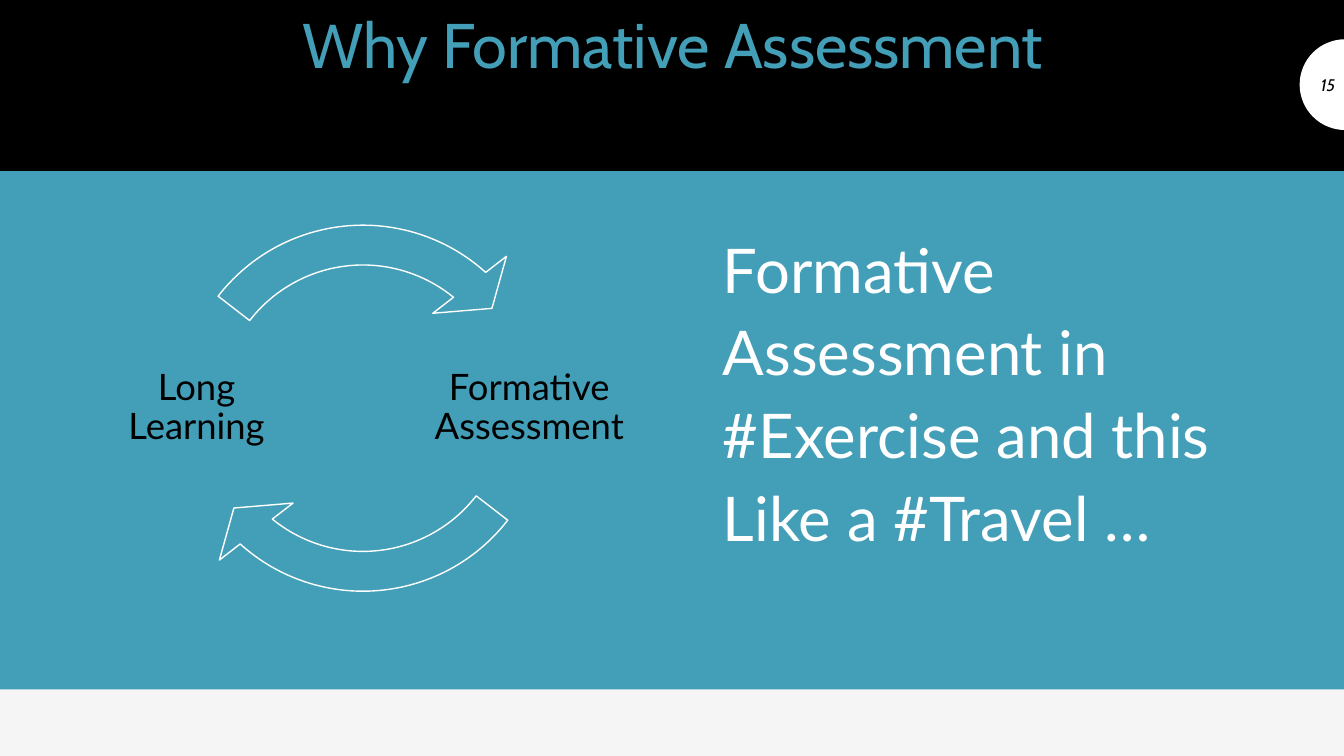
from math import cos, pi, sin

from pptx import Presentation
from pptx.dml.color import RGBColor
from pptx.enum.shapes import MSO_SHAPE
from pptx.enum.text import MSO_ANCHOR, MSO_AUTO_SIZE, PP_ALIGN
from pptx.oxml.ns import qn
from pptx.util import Inches, Pt

COLORS = {"page": "F5F5F5", "teal": "439EB7", "black": "000000", "white": "FFFFFF"}
SLIDE_WIDTH, SLIDE_HEIGHT = 13.33, 7.5


def rgb(name):
    return RGBColor.from_string(COLORS[name])


def paint(shape, fill, line=None):
    shape.shadow.inherit = False
    shape.fill.solid()
    shape.fill.fore_color.rgb = rgb(fill)
    if line:
        shape.line.color.rgb = rgb(line)
        shape.line.width = Pt(1)
    else:
        shape.line.fill.background()


def remove_bullet(paragraph):
    properties = paragraph._p.get_or_add_pPr()
    properties.set("marL", "0")
    properties.set("indent", "0")
    properties.append(properties.makeelement(qn("a:buNone"), {}))


def write(shape, text, font, size, color, align, spacing=1.0, inset=None):
    """Fill a text shape with one vertically centred paragraph."""
    frame = shape.text_frame
    frame.word_wrap = True
    frame.auto_size = MSO_AUTO_SIZE.NONE
    frame.vertical_anchor = MSO_ANCHOR.MIDDLE
    if inset is not None:
        frame.margin_left = frame.margin_right = Inches(inset)
        frame.margin_top = frame.margin_bottom = Inches(inset)
    frame.text = text
    paragraph = frame.paragraphs[0]
    remove_bullet(paragraph)
    paragraph.alignment = align
    paragraph.line_spacing = spacing
    paragraph.space_before = Pt(0)
    paragraph.font.name = font
    paragraph.font.size = Pt(size)
    paragraph.font.color.rgb = rgb(color)
    return paragraph


def place(placeholder, left, top, width, height):
    """Move a placeholder and bring it in front of the bands."""
    placeholder.left, placeholder.top = Inches(left), Inches(top)
    placeholder.width, placeholder.height = Inches(width), Inches(height)
    tree = placeholder._element.getparent()
    tree.append(placeholder._element)


def add_band(slide, top, height, fill, line=None):
    band = slide.shapes.add_shape(
        MSO_SHAPE.RECTANGLE, 0, Inches(top), Inches(SLIDE_WIDTH), Inches(height))
    paint(band, fill, line)


def add_page_badge(slide, number, left, top, radius):
    """Half disc on the right edge of the slide that holds the page number."""
    steps = 32
    angles = [pi / 2 + pi * step / steps for step in range(steps + 1)]
    outline = [(Inches(left + radius + radius * cos(a)),
                Inches(top + radius - radius * sin(a))) for a in angles]
    builder = slide.shapes.build_freeform(*outline[0])
    builder.add_line_segments(outline[1:], close=True)
    paint(builder.convert_to_shape(), "white")

    page = slide.shapes.add_textbox(
        Inches(left), Inches(top + radius - 0.2), Inches(radius), Inches(0.4))
    label = write(page, number, "Cabin", 12, "black", PP_ALIGN.RIGHT)
    label.font.italic = True


def add_cycle(slide, steps, left, top, size):
    """Two labels left and right of the centre, joined by two curved arrows."""
    label_size, label_offset = 2.02, 1.65
    center_x, center_y = left + size / 2, top + size / 2
    for index, (step, side) in enumerate(zip(steps, (1, -1))):
        label = slide.shapes.add_textbox(
            Inches(center_x + side * label_offset - label_size / 2),
            Inches(center_y - label_size / 2),
            Inches(label_size), Inches(label_size))
        write(label, step, "Lato", 26, "black", PP_ALIGN.CENTER, 0.9, 0.04)

        arrow = slide.shapes.add_shape(
            MSO_SHAPE.CIRCULAR_ARROW,
            Inches(left), Inches(top), Inches(size), Inches(size))
        paint(arrow, "teal", "white")
        half_turn = 108 * index
        settings = (0.095, 6.849, 78.51 + half_turn, 22.641 + half_turn, 0.111)
        for position, value in enumerate(settings):
            arrow.adjustments[position] = value


def add_statement(slide, text, left, top, width, height):
    body = slide.placeholders[1]
    place(body, left, top, width, height)
    write(body, text, "Lato", 44, "white", PP_ALIGN.LEFT, 1.12)


def add_title(slide, text, left, top, width, height):
    title = slide.shapes.title
    place(title, left, top, width, height)
    write(title, text, "Cabin", 45, "teal", PP_ALIGN.CENTER, 0.9)
    title.text_frame.margin_bottom = Inches(0.81)


def main():
    deck = Presentation()
    deck.slide_width, deck.slide_height = Inches(SLIDE_WIDTH), Inches(SLIDE_HEIGHT)
    slide = deck.slides.add_slide(deck.slide_layouts[1])
    slide.background.fill.solid()
    slide.background.fill.fore_color.rgb = rgb("page")

    add_band(slide, 1.68, 5.16, "teal")
    add_band(slide, 0, 1.69, "black", "black")
    add_cycle(slide, ("Formative Assessment", "Long Learning"), 1.52, 1.97, 4.16)
    add_page_badge(slide, "15", 12.89, 0.39, 0.45)
    add_statement(slide, "Formative Assessment in #Exercise and this Like a #Travel …",
                  7.07, 1.75, 6.15, 4.2)
    add_title(slide, "Why Formative Assessment", 0.83, 0.31, 11.68, 1.1)
    deck.save("out.pptx")


if __name__ == "__main__":
    main()
